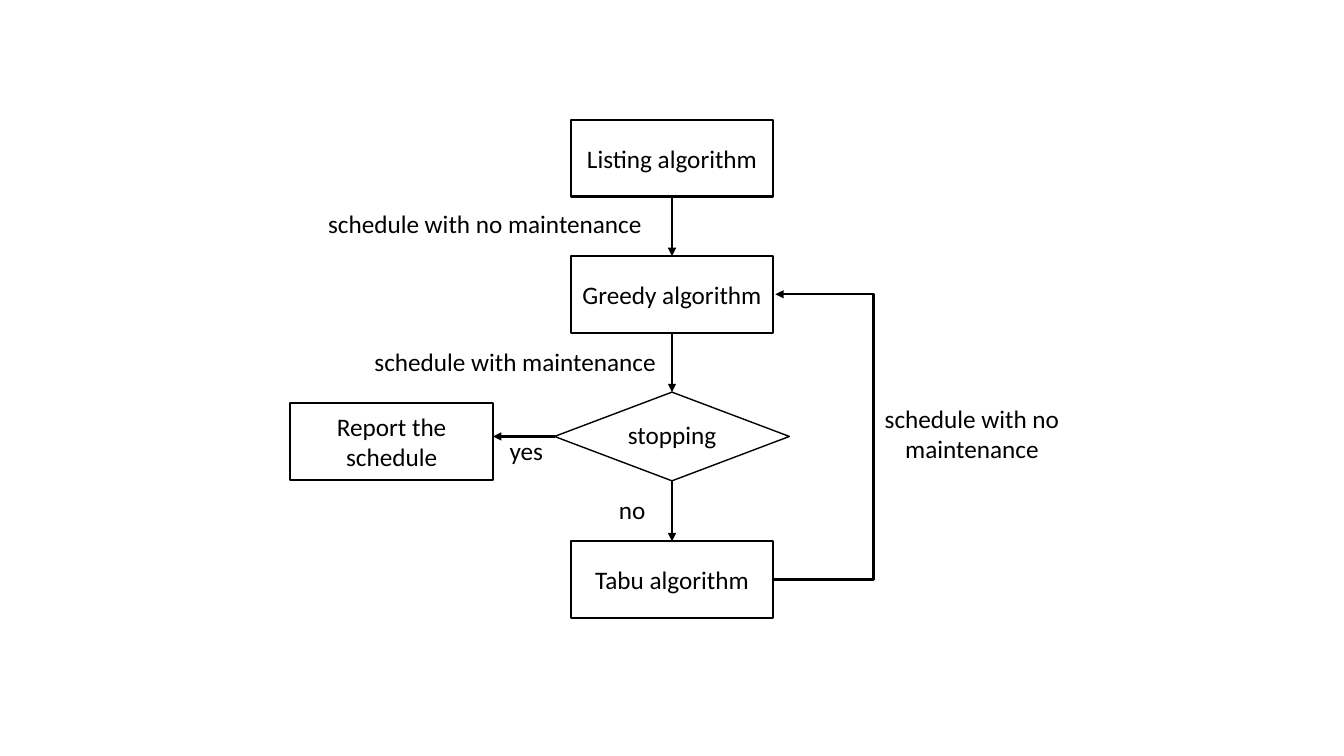
import pptx
import pptx.dml.color
import pptx.enum.shapes
import pptx.enum.text
import pptx.oxml
import pptx.oxml.ns
import pptx.util

Inches = pptx.util.Inches
Pt = pptx.util.Pt
SHAPE = pptx.enum.shapes.MSO_SHAPE
CONNECTOR = pptx.enum.shapes.MSO_CONNECTOR
ANCHOR = pptx.enum.text.MSO_ANCHOR

BLACK = pptx.dml.color.RGBColor(0, 0, 0)
FONT = "Calibri"
BOX_W, BOX_H = 2.01, 0.76
CENTER_X = 6.67
COLUMN_LEFT = 5.66
TOP, BOTTOM = 0, 2  # connection sites


def write(s, text, anchor):
    """Put centred, wrapped black text into a shape."""
    tf = s.text_frame
    tf.text = text
    tf.word_wrap = True
    tf.vertical_anchor = anchor
    p = tf.paragraphs[0]
    p.alignment = pptx.enum.text.PP_ALIGN.CENTER
    font = p.runs[0].font
    font.name, font.size = FONT, Pt(18)
    font.color.rgb = BLACK


def add_outline(slide, kind, x, y, w, h, line_width):
    """Add an unfilled shape with a black outline."""
    s = slide.shapes.add_shape(kind, Inches(x), Inches(y), Inches(w), Inches(h))
    s.shadow.inherit = False
    s.fill.background()
    s.line.color.rgb = BLACK
    s.line.width = Pt(line_width)
    return s


def add_step(slide, text, x, y):
    """Add a process box with its text."""
    s = add_outline(slide, SHAPE.RECTANGLE, x, y, BOX_W, BOX_H, 1.5)
    write(s, text, ANCHOR.MIDDLE)
    return s


def add_label(slide, text, x, y, w, h=0.4):
    """Add a text box beside or on the flow."""
    s = slide.shapes.add_textbox(Inches(x), Inches(y), Inches(w), Inches(h))
    write(s, text, ANCHOR.TOP)


def add_arrow(slide, start, end, kind=CONNECTOR.STRAIGHT):
    """Add a black connector with a triangle head at its end."""
    c = slide.shapes.add_connector(kind, *map(Inches, start + end))
    c.line.color.rgb = BLACK
    c.line.width = Pt(1.5)
    ln = c.line._get_or_add_ln()
    ns = pptx.oxml.ns.nsdecls("a")
    ln.append(pptx.oxml.parse_xml(f'<a:tailEnd {ns} type="triangle"/>'))
    c._element.spPr.append(pptx.oxml.parse_xml(f"<a:effectLst {ns}/>"))
    return c


def link_down(slide, upper, lower):
    """Connect the bottom of one shape to the top of the next."""
    c = add_arrow(slide, (CENTER_X, 0), (CENTER_X, 1))
    c.begin_connect(upper, BOTTOM)
    c.end_connect(lower, TOP)


def add_loop(slide, start, end, turn_x):
    """Add an elbow arrow that turns back at turn_x."""
    c = add_arrow(slide, start, end, CONNECTOR.ELBOW)
    ratio = round(100000 * (turn_x - start[0]) / (end[0] - start[0]))
    guides = c._element.spPr.find(pptx.oxml.ns.qn("a:prstGeom")).get_or_add_avLst()
    guides.append(pptx.oxml.parse_xml(
        f'<a:gd {pptx.oxml.ns.nsdecls("a")} name="adj1" fmla="val {ratio}"/>'))


def main():
    """Build the scheduling flowchart."""
    prs = pptx.Presentation()
    prs.slide_width, prs.slide_height = Inches(13.33), Inches(7.5)
    slide = prs.slides.add_slide(prs.slide_layouts[6])

    listing = add_step(slide, "Listing algorithm", COLUMN_LEFT, 1.19)
    greedy = add_step(slide, "Greedy algorithm", COLUMN_LEFT, 2.54)
    tabu = add_step(slide, "Tabu algorithm", COLUMN_LEFT, 5.37)
    stopping = add_outline(slide, SHAPE.FLOWCHART_DECISION, 5.5, 3.89, 2.33, 0.88, 1)
    add_step(slide, "Report the schedule", 2.88, 4)

    for upper, lower in ((listing, greedy), (greedy, stopping), (stopping, tabu)):
        link_down(slide, upper, lower)
    add_arrow(slide, (5.5, 4.33), (4.89, 4.33))
    add_loop(slide, (7.67, 5.75), (7.69, 2.92), 8.66)

    add_label(slide, "stopping", 5.89, 4.11, 1.55)
    add_label(slide, "schedule with no maintenance", 8.64, 3.95, 2, 0.71)
    add_label(slide, "schedule with no maintenance", 3.13, 2.02, 3.36)
    add_label(slide, "schedule with maintenance", 3.2, 3.39, 3.82)
    add_label(slide, "yes", 4.67, 4.27, 1.1)
    add_label(slide, "no", 5.83, 4.85, 0.88)

    prs.save("out.pptx")


main()
